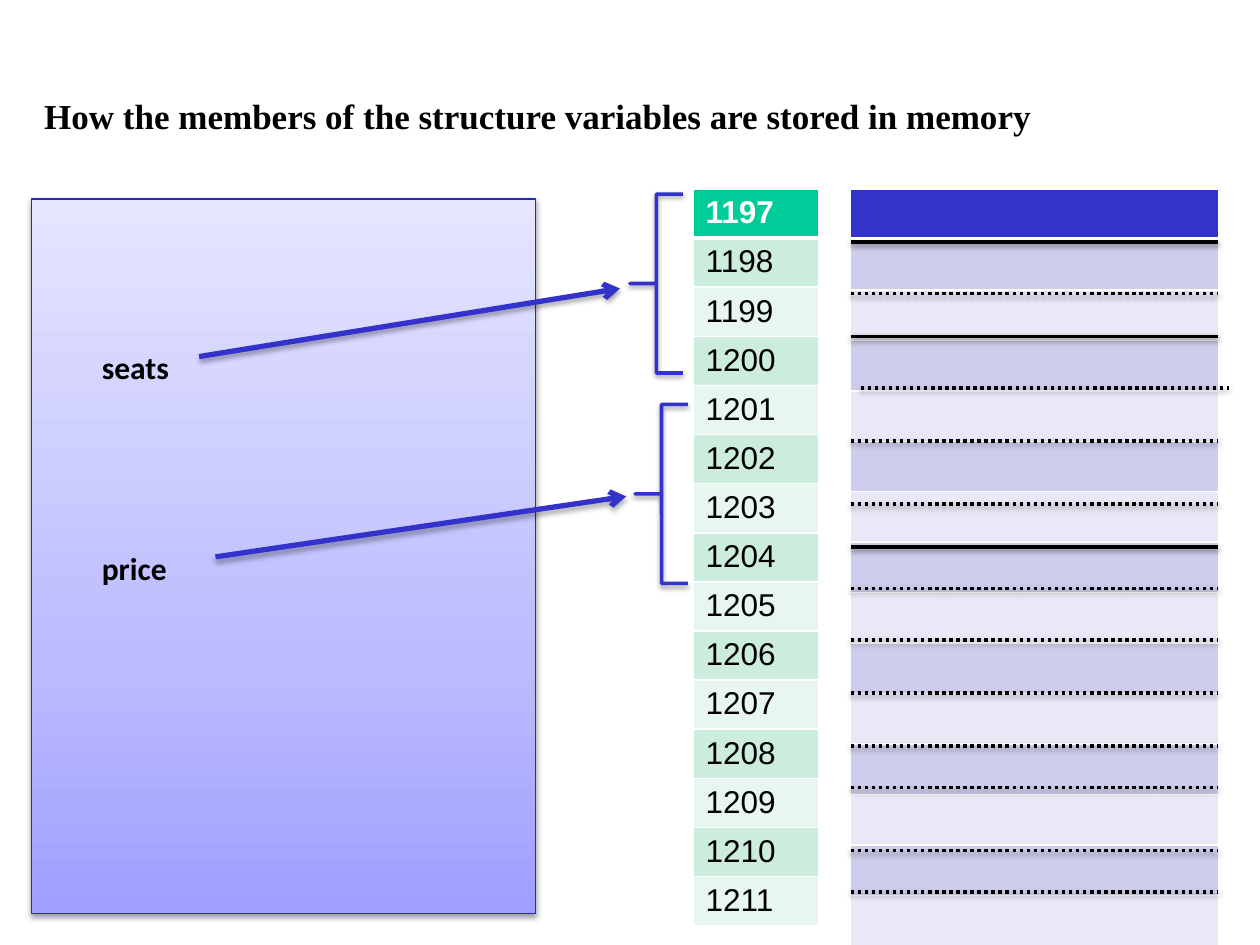
from copy import deepcopy

from lxml import etree
from pptx import Presentation
from pptx.dml.color import RGBColor
from pptx.enum.dml import MSO_LINE
from pptx.enum.shapes import MSO_CONNECTOR, MSO_SHAPE
from pptx.enum.text import MSO_ANCHOR, PP_ALIGN
from pptx.oxml import parse_xml
from pptx.oxml.ns import nsdecls, qn
from pptx.util import Inches, Pt

DOTTED = MSO_LINE.ROUND_DOT
STRAIGHT = MSO_CONNECTOR.STRAIGHT
RECTANGLE, BRACE = MSO_SHAPE.RECTANGLE, MSO_SHAPE.LEFT_BRACE
MIDDLE, LEFT = MSO_ANCHOR.MIDDLE, PP_ALIGN.LEFT

TITLE = "How the members of the structure variables are stored in memory"
BLUE, BLACK, WHITE = "3333CC", "000000", "FFFFFF"
ADDRESSES = [str(number) for number in range(1197, 1212)]
TABLES = [
    (5.5, 1, 0.39, ADDRESSES, ("00CC99", "CCECDE", "E7F6EF")),
    (6.75, 2.92, 0.38, [""] * len(ADDRESSES), (BLUE, "CECEEC", "E8E8F6")),
]
GRADIENT = [(0, "9F9FFF"), (0.35, "BBBBFF"), (1, "E5E5FF")]
MEMBERS = [("seats", 2.71), ("price", 4.31)]
SOLID_LINES = [(6.75, 1.92), (6.75, 2.67), (6.75, 4.34)]
DOTTED_LINES = [(6.75, 2.33), (6.75, 3.5), (6.83, 3.08), (6.75, 4), (6.75, 6.75),
                (6.75, 7.08), (6.75, 6.25), (6.75, 5.92), (6.75, 5.5), (6.75, 5.08),
                (6.75, 4.67)]
LINE_LENGTH = 2.92
ARROWS = [((1.58, 2.83), (4.92, 2.29)), ((1.71, 4.42), (4.97, 3.94))]
BRACES = [(5.04, 3.21), (5, 1.54)]


def rgb(value):
    """Turn a hex string into a colour."""
    return RGBColor.from_string(value)


def add_text(para, text, size, font, color, bold):
    """Add one formatted run to a paragraph."""
    span = para.add_run()
    span.text = text
    span.font.size, span.font.name, span.font.bold = Pt(size), font, bold
    span.font.color.rgb = rgb(color)


def set_line(shape, color, width):
    """Set the outline of a shape or connector."""
    shape.line.color.rgb = rgb(color)
    shape.line.width = Pt(width)


def add_shadow(shape, opacity=38, distance=1.6):
    """Cast a soft shadow straight down."""
    shape._element.spPr.append(parse_xml(
        f'<a:effectLst {nsdecls("a")}><a:outerShdw blurRad="{Pt(3.1)}" '
        f'dist="{Pt(distance)}" dir="5400000" rotWithShape="0"><a:srgbClr val="{BLACK}">'
        f'<a:alpha val="{opacity * 1000}"/></a:srgbClr></a:outerShdw></a:effectLst>'))


def set_borders(cell, top, bottom):
    """Draw white borders round a cell."""
    properties = cell._tc.get_or_add_tcPr()
    sides = [("lnL", 1), ("lnR", 1), ("lnT", top), ("lnB", bottom)]
    for position, (side, width) in enumerate(sides):
        properties.insert(position, parse_xml(
            f'<a:{side} {nsdecls("a")} w="{Pt(width)}"><a:solidFill>'
            f'<a:srgbClr val="{WHITE}"/></a:solidFill></a:{side}>'))


def add_memory_table(page, left, width, height, labels, fills):
    """Add a one-column table with a header and banded rows."""
    frame = page.shapes.add_table(len(labels), 1, Inches(left), Inches(1.5),
                                  Inches(width), Inches(height * len(labels)))
    for index, label in enumerate(labels):
        frame.table.rows[index].height = Inches(height)
        cell = frame.table.cell(index, 0)
        header = index == 0
        cell.fill.solid()
        cell.fill.fore_color.rgb = rgb(fills[0] if header else fills[2 - index % 2])
        set_borders(cell, 3 if index == 1 else 1, 3 if header else 1)
        if label:
            add_text(cell.text_frame.paragraphs[0], label, 18, "Arial",
                     WHITE if header else BLACK, header)


def add_panel(page):
    """Add the gradient panel behind the member names."""
    panel = page.shapes.add_shape(RECTANGLE, Inches(0.25), Inches(1.58), Inches(4), Inches(5.67))
    panel.fill.gradient()
    panel.fill.gradient_angle = 90
    stop_list = panel._element.spPr.find(".//" + qn("a:gsLst"))
    stop_list.insert(1, deepcopy(stop_list[0]))
    for stop, (position, color) in zip(panel.fill.gradient_stops, GRADIENT):
        stop.position = position
        stop.color.rgb = rgb(color)
    set_line(panel, "2929B8", 0.75)
    add_shadow(panel)


def add_line(page, start, end, color, width):
    """Add a straight connector between two points."""
    line = page.shapes.add_connector(STRAIGHT, *map(Inches, start + end))
    set_line(line, color, width)
    return line


def main():
    """Build the slide and save it."""
    deck = Presentation()
    deck.slide_width, deck.slide_height = Inches(10), Inches(7.5)
    page = deck.slides.add_slide(deck.slide_layouts[5])

    title = page.shapes.title
    title.left, title.top, title.width, title.height = map(Inches, (0.25, 0.28, 9.33, 1.3))
    title.text_frame.vertical_anchor = MIDDLE
    para = title.text_frame.paragraphs[0]
    para.alignment, para.line_spacing = LEFT, 0.97
    add_text(para, TITLE, 20, "Times New Roman", BLACK, True)

    add_memory_table(page, *TABLES[0])
    add_panel(page)
    for name, top in MEMBERS:
        box = page.shapes.add_textbox(Inches(0.71), Inches(top), Inches(0.75), Inches(0.4))
        box.text_frame.word_wrap = True
        add_text(box.text_frame.paragraphs[0], name, 18, "Calibri", BLACK, True)
    add_memory_table(page, *TABLES[1])

    for points, dash in ((SOLID_LINES, None), (DOTTED_LINES, DOTTED)):
        for left, top in points:
            line = add_line(page, (left, top), (left + LINE_LENGTH, top), BLACK, 2)
            line.line.dash_style = dash
            add_shadow(line)
    for start, end in ARROWS:
        arrow = add_line(page, start, end, BLUE, 3)
        etree.SubElement(arrow.line._get_or_add_ln(), qn("a:tailEnd"), type="arrow")
        add_shadow(arrow, 35, 1.8)
    for left, top in BRACES:
        brace = page.shapes.add_shape(BRACE, Inches(left), Inches(top), Inches(0.42), Inches(1.42))
        brace.adjustments[0] = 0
        brace.fill.background()
        set_line(brace, BLUE, 2)
        add_shadow(brace)

    deck.save("out.pptx")


if __name__ == "__main__":
    main()
